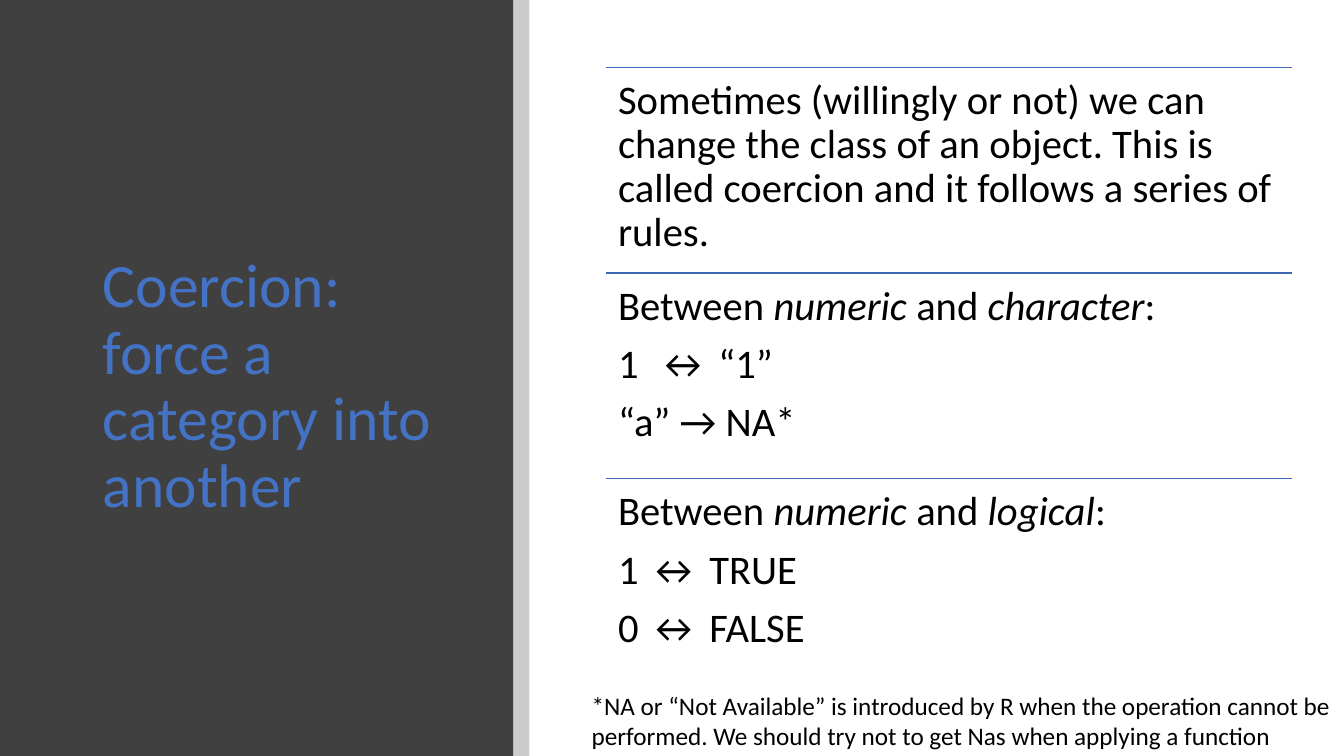
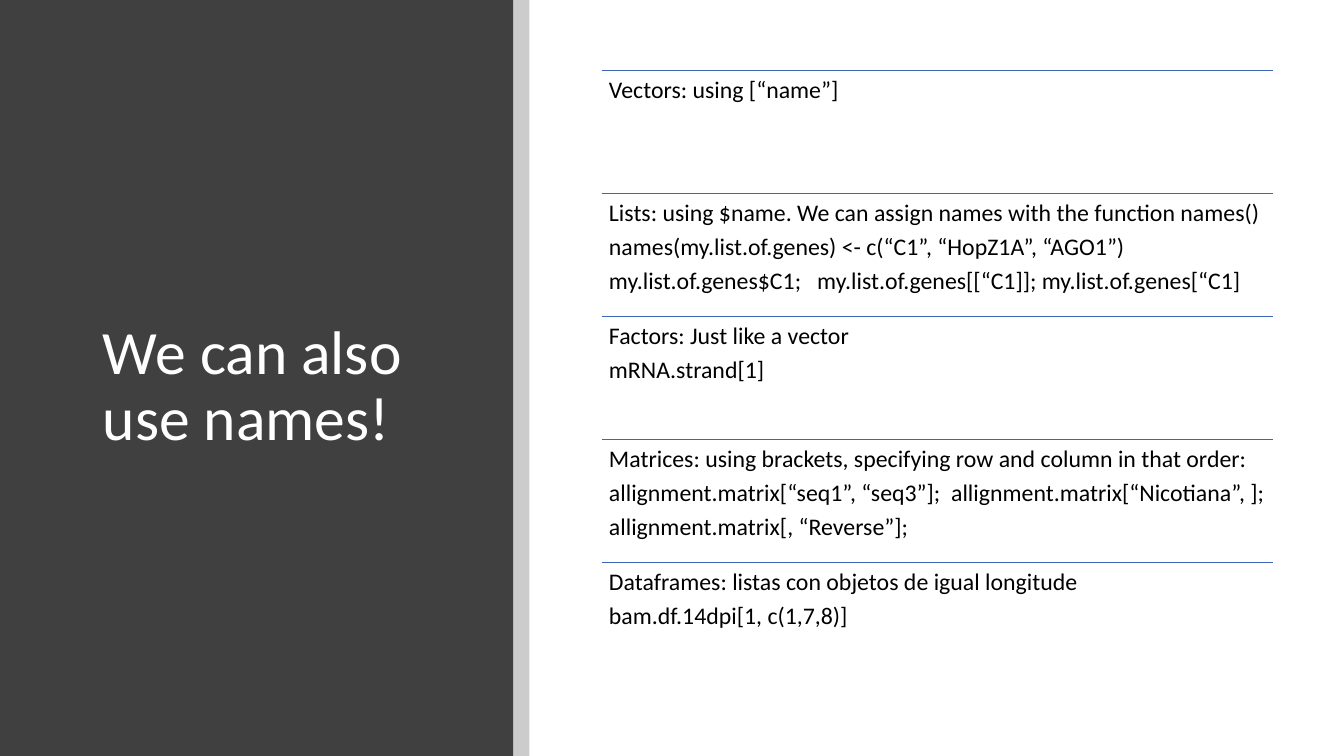
from pptx import Presentation, util as u
from pptx.dml.color import RGBColor
from pptx.enum import shapes, text
from pptx.oxml.ns import qn
from lxml import etree

WIDTH, HEIGHT = 13.33, 7.5
FONT = "Calibri"
DARK, BLUE, RULE, BLACK, WHITE = "404040", "4472C4", "3E67B2", "000000", "FFFFFF"
PANEL_W, STRIP_W = 5.09, 0.16
TITLE_BOX = (0.92, 0.89, 3.65, 5.91)


def color(value):
    return RGBColor.from_string(value)


def inches(*lengths):
    return [u.Inches(length) for length in lengths]


def style_runs(p, size, value):
    for r in p.runs:
        r.font.name = FONT
        r.font.size = u.Pt(size)
        r.font.color.rgb = color(value)


def add_band(s, box, fill, opacity=100):
    sp = s.shapes.add_shape(shapes.MSO_SHAPE.RECTANGLE, *inches(*box))
    sp.shadow.inherit = False
    sp.line.fill.background()
    sp.fill.solid()
    sp.fill.fore_color.rgb = color(fill)
    if opacity < 100:
        clr = sp._element.spPr.find(qn("a:solidFill"))[0]
        etree.SubElement(clr, qn("a:alpha")).set("val", str(opacity * 1000))


def add_title(s, box, title, value):
    sp = s.shapes.title
    sp.left, sp.top, sp.width, sp.height = inches(*box)
    sp._element.getparent().append(sp._element)
    tf = sp.text_frame
    tf.text = title
    tf.word_wrap = True
    tf.auto_size = text.MSO_AUTO_SIZE.NONE
    tf.vertical_anchor = text.MSO_ANCHOR.MIDDLE
    p = tf.paragraphs[0]
    p.alignment = text.PP_ALIGN.LEFT
    p.line_spacing = 0.9
    style_runs(p, 44, value)


def add_panel_slide(prs, title, title_color):
    s = prs.slides.add_slide(prs.slide_layouts[5])
    add_band(s, (0, 0, PANEL_W, HEIGHT), DARK)
    add_band(s, (PANEL_W, 0, STRIP_W, HEIGHT), BLACK, 20)
    add_title(s, TITLE_BOX, title, title_color)
    return s


def add_rule(s, left, top, width):
    line = s.shapes.add_connector(
        shapes.MSO_CONNECTOR.STRAIGHT, *inches(left, top, left + width, top))
    line.line.color.rgb = color(RULE)
    line.line.width = u.Pt(1)
    etree.SubElement(line._element.spPr, qn("a:effectLst"))


def add_text(s, box, paragraphs, size, inset=None, spacing=None, after=0):
    tf = s.shapes.add_textbox(*inches(*box)).text_frame
    tf.word_wrap = True
    if inset is not None:
        tf.margin_left = tf.margin_right = u.Inches(inset)
        tf.margin_top = tf.margin_bottom = u.Inches(inset)
    for i, content in enumerate(paragraphs):
        p = tf.add_paragraph() if i else tf.paragraphs[0]
        p.line_spacing = spacing
        p.space_after = u.Pt(size * after)
        for j, part in enumerate(content.split("_")):
            r = p.add_run()
            r.text = part
            r.font.italic = j % 2 == 1
        style_runs(p, size, BLACK)


def add_ruled_list(s, box, rows, size, inset):
    left, top, width, height = box
    row_h = height / len(rows)
    for i, paragraphs in enumerate(rows):
        y = top + i * row_h
        add_rule(s, left, y, width)
        add_text(s, (left, y, width, row_h), paragraphs, size, inset, 0.9, 0.35)


def build_coercion(prs):
    s = add_panel_slide(prs, "Coercion: force a category into another", BLUE)
    add_ruled_list(s, (6.01, 0.67, 6.8, 6.12), [
        ["Sometimes (willingly or not) we can change the class of an object. "
         "This is called coercion and it follows a series of rules."],
        ["Between _numeric_ and _character_:", "1  ↔ “1”", "“a” → NA*"],
        ["Between _numeric_ and _logical_:", "1 ↔ TRUE", "0 ↔ FALSE"],
    ], 29, 0.12)
    add_text(s, (5.77, 6.8, 7.56, 0.71), [
        "*NA or “Not Available” is introduced by R when the operation cannot be "
        "performed. We should try not to get Nas when applying a function"], 18)


def build_names(prs):
    s = add_panel_slide(prs, "We can also use names!", WHITE)
    add_ruled_list(s, (5.97, 0.7, 6.66, 6.1), [
        ["Vectors: using [“name”]"],
        ["Lists: using $name. We can assign names with the function names()",
         "names(my.list.of.genes) <- c(“C1”, “HopZ1A”, “AGO1”)",
         "my.list.of.genes$C1;   my.list.of.genes[[“C1]]; my.list.of.genes[“C1]"],
        ["Factors: Just like a vector", "mRNA.strand[1]"],
        ["Matrices: using brackets, specifying row and column in that order: ",
         "allignment.matrix[“seq1”, “seq3”];  allignment.matrix[“Nicotiana”, ]; ",
         "allignment.matrix[, “Reverse”]; "],
        ["Dataframes: listas con objetos de igual longitude",
         "bam.df.14dpi[1, c(1,7,8)]"],
    ], 17, 0.07)


prs = Presentation()
prs.slide_width, prs.slide_height = inches(WIDTH, HEIGHT)
build_coercion(prs)
build_names(prs)
prs.save("out.pptx")
